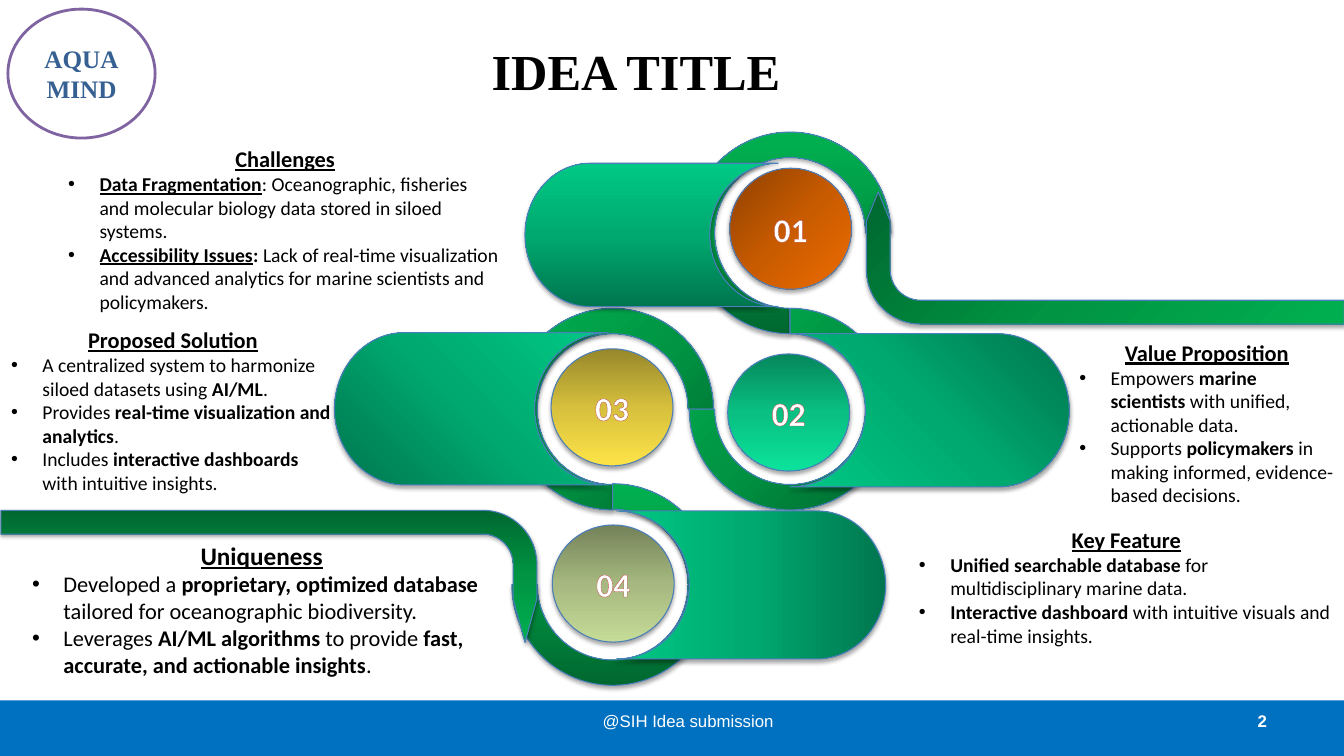
from typing import Any, NamedTuple

from lxml.etree import SubElement
from pptx import Presentation
from pptx.dml.color import RGBColor
from pptx.enum.shapes import MSO_SHAPE
from pptx.enum.text import MSO_ANCHOR, PP_ALIGN
from pptx.oxml.ns import qn
from pptx.util import Cm, Pt

Box = tuple[float, float, float, float]
Colors = tuple[str, str, str]

GREEN = ("00682F", "009443", "00B050")
TEAL = ("00764F", "00A970", "00C885")
SERIF = "Times New Roman"
RADIAL = -1

Ring = NamedTuple("Ring", [("cx", float), ("cy", float), ("start", int), ("angle", int)])
Arrow = NamedTuple("Arrow", [("box", Box), ("rotation", int), ("head", float), ("angle", int)])
Disc = NamedTuple("Disc", [("label", str), ("box", Box), ("colors", Colors), ("angle", int)])
Pill = NamedTuple("Pill", [("x", float), ("cy", float), ("w", float), ("h", float),
                           ("turn", int), ("angle", int)])
Note = NamedTuple("Note", [("box", Box), ("size", int), ("title", str), ("bullets", list[str])])


class Step(NamedTuple):
    x: float
    y: float
    rx: float = 0
    ry: float = 0
    start: int = 0
    sweep: int = 0


RINGS = [
    Ring(15.44, 10.31, 0, 225),
    Ring(15.44, 14.73, 180, 270),
    Ring(19.91, 5.87, 0, 270),
    Ring(19.91, 10.31, 180, RADIAL),
]
ARROWS = [
    Arrow((5.11, 7.77, 3.33, 13.51), 90, 0.33, 0),
    Arrow((26.19, 0.48, 3.33, 12.04), 270, 0.22, 135),
]
DISCS = [
    Disc("04", (13.92, 13.23, 3.07, 2.95), ("748259", "A6B87F", "C5DB97"), 90),
    Disc("03", (13.89, 8.79, 3.07, 2.95), ("96872B", "D6C03D", "FEE348"), 90),
    Disc("02", (18.34, 8.92, 3.07, 2.95), ("06875C", "09BF82", "0BE39B"), 90),
    Disc("01", (18.39, 4.24, 3.07, 3.05), ("8D4000", "C85B00", "EE6B00"), 45),
]
PILLS = [
    Pill(19.91, 10.34, 7.04, 3.86, 0, 135),
    Pill(19.61, 5.92, 6.38, 3.61, 180, 270),
    Pill(15.54, 14.74, 6.78, 3.73, 0, 180),
    Pill(15.34, 10.3, 6.91, 3.84, 180, 315),
]
NOTES = [
    Note((1.47, 3.53, 11.43, 3.94), 14, "Challenges", [
        "_Data Fragmentation|: Oceanographic, fisheries and molecular biology data stored in siloed systems.",
        "_Accessibility Issues|*: |Lack of real-time visualization and advanced analytics "
        "for marine scientists and policymakers."]),
    Note((26.95, 8.41, 6.93, 4.52), 14, "Value Proposition", [
        "Empowers |*marine scientists| with unified, actionable data.",
        "Supports |*policymakers| in making informed, evidence-based decisions."]),
    Note((0.03, 8.1, 8.66, 4.52), 14, "Proposed Solution", [
        "A centralized system to harmonize siloed datasets using |*AI/ML|.",
        "Provides |*real-time visualization and analytics|.",
        "Includes |*interactive dashboards| with intuitive insights."]),
    Note((22.91, 13.13, 10.95, 3.33), 14, "Key Feature", [
        "*Unified searchable database| for multidisciplinary marine data.",
        "*Interactive dashboard| with intuitive visuals and real-time insights."]),
    Note((0.56, 13.49, 12.07, 3.76), 16, "Uniqueness", [
        "Developed a |*proprietary, optimized database| tailored for oceanographic biodiversity.",
        "Leverages |*AI/ML algorithms| to provide |*fast, accurate, and actionable insights|."]),
]


def rgb(color: str) -> RGBColor:
    return RGBColor.from_string(color)


def add_run(p: Any, text: str, size: int, color: str = "000000", **formats: Any) -> Any:
    r = p.add_run()
    r.text = text
    for name, value in {"name": "Calibri", "size": Pt(size), **formats}.items():
        setattr(r.font, name, value)
    r.font.color.rgb = rgb(color)
    return r


def add_box(s: Any, box: Box, anchor: MSO_ANCHOR, align: PP_ALIGN = PP_ALIGN.CENTER) -> Any:
    tf = s.shapes.add_textbox(*map(Cm, box)).text_frame
    for name, value in {"word_wrap": True, "vertical_anchor": anchor}.items():
        setattr(tf, name, value)
    tf.paragraphs[0].alignment = align
    return tf


def add_plain(s: Any, kind: MSO_SHAPE, box: Box, color: str) -> Any:
    sp = s.shapes.add_shape(kind, *map(Cm, box))
    sp.shadow.inherit = False
    sp.fill.solid()
    sp.fill.fore_color.rgb = rgb(color)
    return sp


def add_shadow(sp: Any, color: str, blur: float) -> None:
    sp.shadow.inherit = False
    shadow = SubElement(sp._element.spPr.find(qn("a:effectLst")), qn("a:outerShdw"),
                        blurRad=str(Pt(blur)), dist=str(Pt(1.8)), dir="5400000", rotWithShape="0")
    SubElement(SubElement(shadow, qn("a:srgbClr"), val=color), qn("a:alpha"), val="35000")


def decorate(sp: Any, colors: Colors, angle: int) -> None:
    sp.fill.gradient()
    grad = sp._element.spPr.find(qn("a:gradFill"))
    grad.clear()
    grad.set("rotWithShape", "1")
    stops = SubElement(grad, qn("a:gsLst"))
    for i, color in enumerate(colors):
        SubElement(SubElement(stops, qn("a:gs"), pos=str(i * 50000)), qn("a:srgbClr"), val=color)
    if angle == RADIAL:
        SubElement(SubElement(grad, qn("a:path"), path="circle"), qn("a:fillToRect"), l="100000", t="100000")
    else:
        SubElement(grad, qn("a:lin"), ang=str(angle * 60000), scaled="0")
    sp.line.color.rgb = rgb("4B7EBC")
    sp.line.width = Pt(0.75)
    add_shadow(sp, "000000", 3.1)


def add_outline(s: Any, steps: list[Step]) -> Any:
    builder = s.shapes.build_freeform(Cm(steps[0].x), Cm(steps[0].y))
    builder.add_line_segments([(Cm(step.x), Cm(step.y)) for step in steps[1:]], close=True)
    sp = builder.convert_to_shape()
    for line, step in zip(list(sp._element.iter(qn("a:lnTo"))), steps[1:]):
        if step.sweep:
            curve = line.makeelement(qn("a:arcTo"), {
                "wR": str(Cm(step.rx)), "hR": str(Cm(step.ry)),
                "stAng": str(step.start % 360 * 60000), "swAng": str(step.sweep * 60000)})
            line.getparent().replace(line, curve)
    return sp


def quarters(cx: float, cy: float, rx: float, ry: float, start: int, sweep: int, count: int) -> list[Step]:
    units = {0: (1, 0), 90: (0, 1), 180: (-1, 0), 270: (0, -1)}
    steps = []
    for i in range(count + 1):
        ux, uy = units[(start + sweep * i) % 360]
        steps.append(Step(cx + rx * ux, cy + ry * uy, rx, ry, start + sweep * (i - 1), sweep if i else 0))
    return steps


def draw_ring(s: Any, ring: Ring) -> None:
    outer = quarters(ring.cx, ring.cy, 2.54, 2.54, ring.start, -90, 3)
    inner = quarters(ring.cx, ring.cy, 1.9, 1.9, ring.start + 90, 90, 3)
    decorate(add_outline(s, outer + inner), GREEN, ring.angle)


def draw_arrow(s: Any, arrow: Arrow) -> None:
    sp = s.shapes.add_shape(MSO_SHAPE.BENT_ARROW, *map(Cm, arrow.box))
    sp.rotation = arrow.rotation
    for i, value in enumerate((0.25, 0.09, arrow.head, 0.41)):
        sp.adjustments[i] = value
    decorate(sp, GREEN, arrow.angle)


def draw_disc(s: Any, disc: Disc) -> None:
    sp = s.shapes.add_shape(MSO_SHAPE.OVAL, *map(Cm, disc.box))
    decorate(sp, disc.colors, disc.angle)
    sp.text_frame.paragraphs[0].alignment = PP_ALIGN.CENTER
    r = add_run(sp.text_frame.paragraphs[0], disc.label, 24, "FFFFFF", bold=True)
    ln = r._r.makeelement(qn("a:ln"), {"w": str(Pt(0.52))})
    SubElement(SubElement(ln, qn("a:solidFill")), qn("a:srgbClr"), val="C0504D")
    r._r.get_or_add_rPr().insert(0, ln)


def draw_pill(s: Any, pill: Pill) -> None:
    side, half = (-1 if pill.turn else 1), pill.h / 2
    cap = quarters(pill.x + side * 0.744 * pill.w, pill.cy, 0.256 * pill.w, half, pill.turn - 90, 90, 2)
    notch = quarters(pill.x, pill.cy, 0.27 * pill.w, half, pill.turn + 90, -90, 2)
    decorate(add_outline(s, cap + notch), TEAL, pill.angle)


def draw_note(s: Any, note: Note) -> None:
    tf = add_box(s, note.box, MSO_ANCHOR.TOP)
    add_run(tf.paragraphs[0], note.title, note.size + 2, bold=True, underline=True)
    for bullet in note.bullets:
        p = tf.add_paragraph()
        pPr = p._p.get_or_add_pPr()
        pPr.attrib.update({"marL": str(Cm(0.79)), "indent": str(-Cm(0.79))})
        SubElement(pPr, qn("a:buFont"), typeface="Arial")
        SubElement(pPr, qn("a:buChar"), char="•")
        for part in bullet.split("|"):
            add_run(p, part.lstrip("_*"), note.size, bold=part[0] in "_*", underline=part[0] == "_")


def main() -> None:
    prs = Presentation()
    prs.slide_width, prs.slide_height = Cm(33.87), Cm(19.05)
    s = prs.slides.add_slide(prs.slide_layouts[6])
    bar = add_plain(s, MSO_SHAPE.RECTANGLE, (0, 17.65, 33.87, 1.4), "0070C0")
    bar.line.fill.background()
    add_shadow(bar, "808080", 0)
    for box, text, size, color, font, bold, align in (
            ((0.79, 0.18, 30.48, 3.18), "IDEA TITLE", 36, "000000", SERIF, True, PP_ALIGN.CENTER),
            ((24.28, 17.65, 7.9, 1.02), "2", 12, "FFFFFF", "Arial", True, PP_ALIGN.RIGHT),
            ((12.9, 17.65, 8.89, 1.02), "@SIH Idea submission", 12, "FFFFFF", "Arial", False, PP_ALIGN.CENTER)):
        p = add_box(s, box, MSO_ANCHOR.MIDDLE, align).paragraphs[0]
        add_run(p, text, size, color, name=font, bold=bold)
    badge = add_plain(s, MSO_SHAPE.OVAL, (0.2, 0.23, 3.71, 3.25), "FFFFFF")
    badge.line.color.rgb = rgb("8064A2")
    badge.line.width = Pt(2)
    p = badge.text_frame.paragraphs[0]
    p.alignment = PP_ALIGN.CENTER
    add_run(p, "AQUA", 18, "376092", name=SERIF, bold=True)
    p.add_line_break()
    add_run(p, "MIND", 18, "376092", name=SERIF, bold=True)
    for items, draw in ((RINGS, draw_ring), (ARROWS, draw_arrow), (DISCS, draw_disc),
                        (PILLS, draw_pill), (NOTES, draw_note)):
        for item in items:
            draw(s, item)
    prs.save("out.pptx")


if __name__ == "__main__":
    main()
